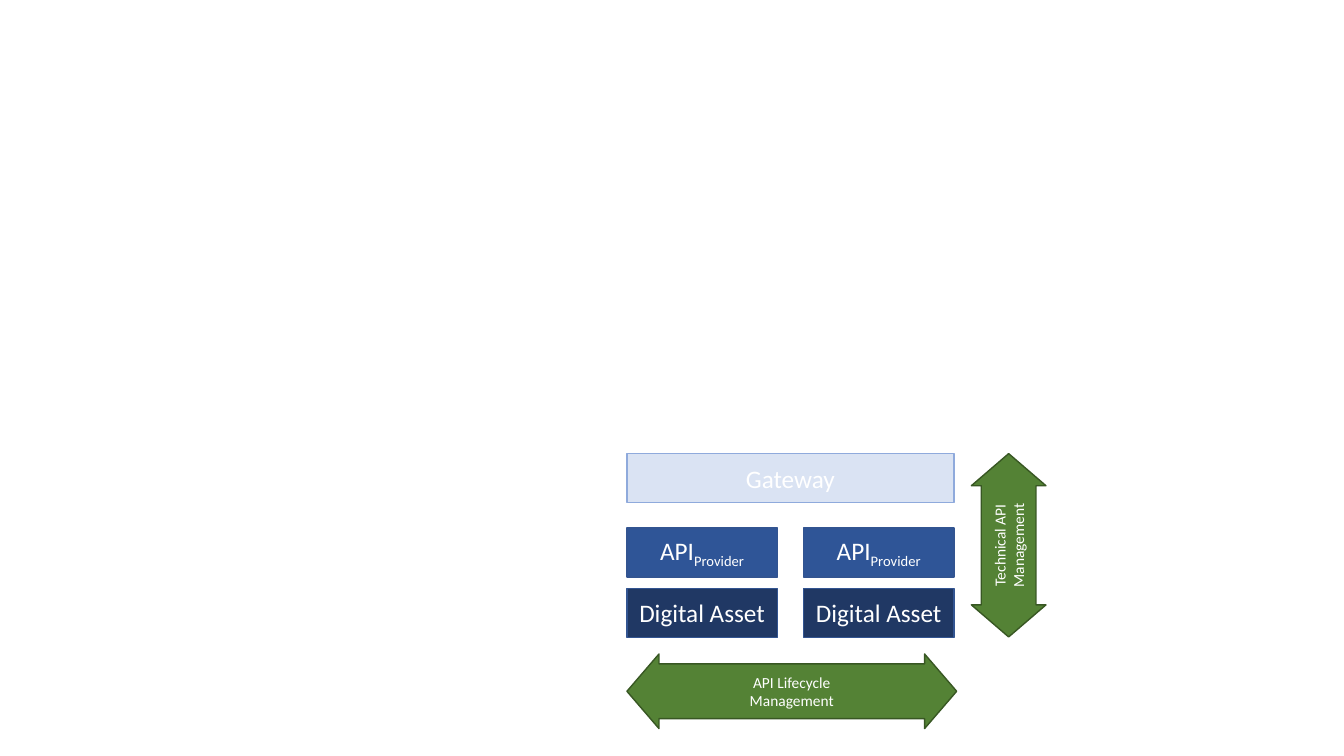
from dataclasses import dataclass

from pptx import Presentation
from pptx.dml.color import RGBColor
from pptx.enum import shapes, text
from pptx.util import Cm, Pt

RECTANGLE = shapes.MSO_SHAPE.RECTANGLE
DOUBLE_ARROW = shapes.MSO_SHAPE.LEFT_RIGHT_ARROW

LEFT = 15.8
COLUMN_STEP = 4.45
BOX_WIDTH, BOX_HEIGHT = 3.79, 1.23
ARROW_HEIGHT = 1.88


@dataclass
class Run:
    words: str
    subscript: bool = False


@dataclass
class Block:
    left: float
    top: float
    width: float
    height: float
    fill: str
    line: str
    paragraphs: list[list[Run]]
    size: int = 18
    kind: int = RECTANGLE
    rotation: int = 0


def colour(value: str) -> RGBColor:
    return RGBColor.from_string(value)


def asset_box(column: int) -> Block:
    return Block(LEFT + column * COLUMN_STEP, 14.83, BOX_WIDTH, BOX_HEIGHT,
                 "203864", "325491", [[Run("Digital Asset")]])


def provider_box(column: int) -> Block:
    return Block(LEFT + column * COLUMN_STEP, 13.31, BOX_WIDTH, BOX_HEIGHT,
                 "2F5597", "325491", [[Run("API"), Run("Provider", subscript=True)]])


def management_arrow(left: float, top: float, width: float, topic: str,
                     rotation: int = 0) -> Block:
    return Block(left, top, width, ARROW_HEIGHT, "548235", "385723",
                 [[Run(topic)], [Run("Management")]], 11, DOUBLE_ARROW, rotation)


def draw(slide, block: Block) -> None:
    shape = slide.shapes.add_shape(block.kind, Cm(block.left), Cm(block.top),
                                   Cm(block.width), Cm(block.height))
    shape.shadow.inherit = False
    shape.rotation = block.rotation
    shape.fill.solid()
    shape.fill.fore_color.rgb = colour(block.fill)
    shape.line.color.rgb = colour(block.line)
    shape.line.width = Pt(1)
    if block.kind == DOUBLE_ARROW:
        shape.adjustments[0] = 0.733
        shape.adjustments[1] = 0.43

    frame = shape.text_frame
    frame.word_wrap = True
    frame.vertical_anchor = text.MSO_ANCHOR.MIDDLE
    for index, runs in enumerate(block.paragraphs):
        paragraph = frame.add_paragraph() if index else frame.paragraphs[0]
        paragraph.alignment = text.PP_ALIGN.CENTER
        for item in runs:
            run = paragraph.add_run()
            run.text = item.words
            run.font.name = "Calibri"
            run.font.size = Pt(block.size)
            run.font.color.rgb = colour("FFFFFF")
            if item.subscript:
                run.font._element.set("baseline", "-25000")


def main() -> None:
    presentation = Presentation()
    presentation.slide_width, presentation.slide_height = Cm(33.87), Cm(19.05)
    slide = presentation.slides.add_slide(presentation.slide_layouts[6])

    blocks = [make_box(column) for column in range(2)
              for make_box in (asset_box, provider_box)]
    blocks += [
        Block(LEFT, 11.43, COLUMN_STEP + BOX_WIDTH, BOX_HEIGHT,
              "DAE3F3", "8FAADC", [[Run("Gateway")]]),
        management_arrow(23.11, 12.8, 4.62, "Technical API", rotation=270),
        management_arrow(LEFT, 16.48, 8.31, "API Lifecycle"),
    ]
    for block in blocks:
        draw(slide, block)
    presentation.save("out.pptx")


if __name__ == "__main__":
    main()
